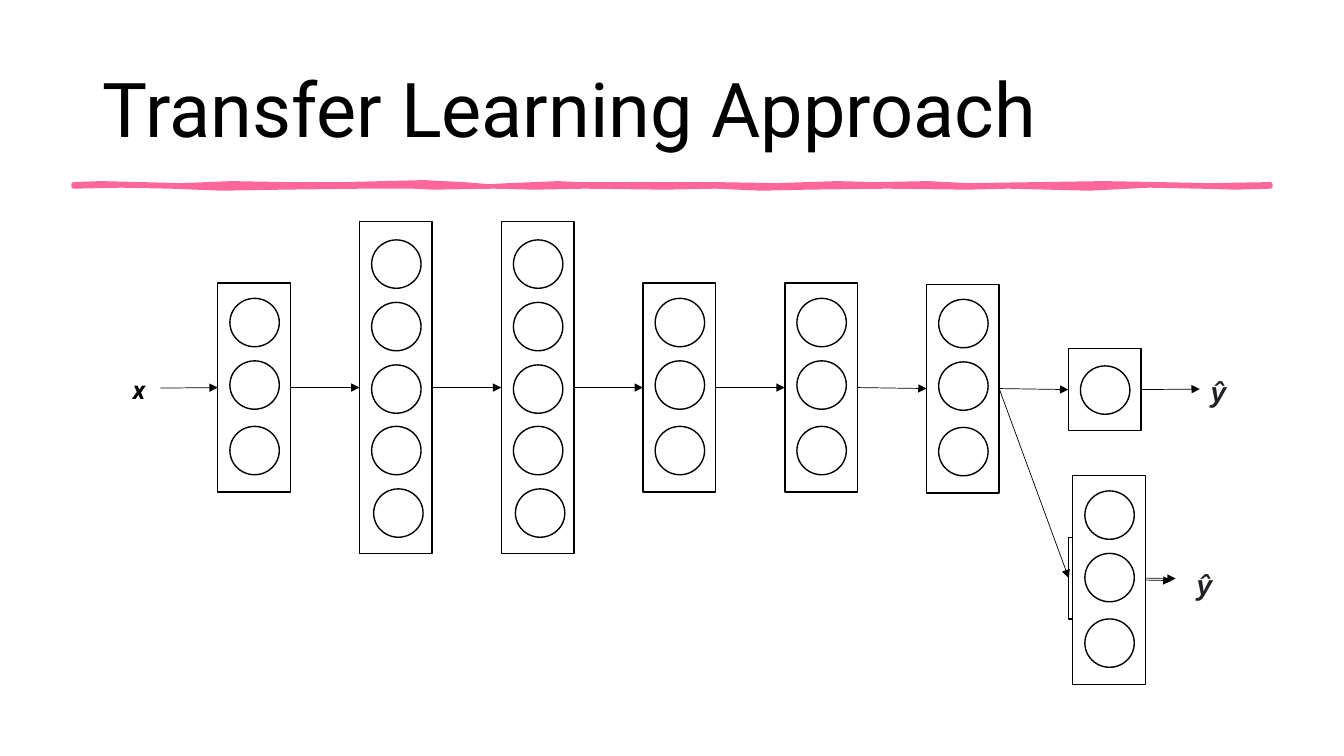
"""Build a slide showing a transfer learning network with two output heads."""
from dataclasses import dataclass

import lxml.etree
import pptx
import pptx.dml.color
import pptx.enum.shapes
import pptx.enum.text
import pptx.oxml
import pptx.oxml.ns
import pptx.util

Inches = pptx.util.Inches
Pt = pptx.util.Pt
SHAPES = pptx.enum.shapes.MSO_SHAPE
LEFT_SIDE, RIGHT_SIDE = 1, 3


@dataclass(frozen=True)
class Theme:
    """Colours, fonts and sizes of the slide."""
    ink: str = "000000"
    output_ink: str = "202124"
    paper: str = "FFFFFF"
    accent: str = "FF6699"
    font: str = "Roboto"
    output_font: str = "Arial"
    title_size: int = 54
    input_size: int = 18
    output_size: int = 20
    outline: float = 1
    arrow: float = 0.5
    brush: float = 3.25


THEME = Theme()
TITLE = "Transfer Learning Approach"

LAYER_WIDTH, FIRST_LEFT, LAYER_PITCH = 0.72, 2.16, 1.406
NEURON_INSET, NEURON_WIDTH, NEURON_HEIGHT = 0.12, 0.49, 0.48

# name: (height, [(horizontal shift, top inside the layer)])
LAYER_KINDS = {
    "one": (0.81, [(0, 0.17)]),
    "three": (2.07, [(0, 0.15), (0, 0.77), (0, 1.42)]),
    "five": (3.29, [(0, 0.8), (0, 1.42), (0, 2.03), (0, 0.18), (0.02, 2.65)]),
    "plain": (0.81, []),
}
NETWORK = [("three", 2.81), ("five", 2.2), ("five", 2.2), ("three", 2.81),
           ("three", 2.81), ("three", 2.82), ("one", 3.46)]
OLD_HEAD = ("plain", 10.6, 5.33)
NEW_HEAD = ("three", 10.64, 4.72)

INPUT_POINT = (1.59, 3.85)
OUTPUT_POINT = (11.9, 3.86)
OLD_HEAD_POINT = (11.66, 5.74)
NEW_HEAD_POINT = (11.62, 5.76)

LABELS = [
    ("x", 1.22, 3.66, 0.38, THEME.font, THEME.input_size, THEME.ink),
    ("ŷ", 11.91, 3.67, 0.41, THEME.output_font, THEME.output_size, THEME.output_ink),
    ("ŷ", 11.77, 5.58, 0.41, THEME.output_font, THEME.output_size, THEME.output_ink),
]

BRUSH_TOP = [
    (0.73, 1.83), (1.0, 1.82), (1.4, 1.83), (1.8, 1.84), (2.3, 1.82),
    (2.84, 1.83), (3.4, 1.83), (3.8, 1.82), (4.2, 1.81), (4.6, 1.83),
    (4.85, 1.85), (5.05, 1.84), (5.3, 1.83), (5.53, 1.82), (5.75, 1.83),
    (6.4, 1.83), (7.1, 1.83), (7.7, 1.84), (8.3, 1.82), (8.7, 1.83),
    (9.2, 1.82), (9.6, 1.84), (10.3, 1.83), (10.95, 1.82), (11.5, 1.83),
    (12.0, 1.84), (12.6, 1.83),
]
BRUSH_BOTTOM = [
    (12.6, 1.85), (12.25, 1.86), (11.9, 1.85), (11.4, 1.84), (10.8, 1.87),
    (10.4, 1.86), (10.0, 1.85), (9.6, 1.86), (8.8, 1.85), (8.0, 1.86),
    (7.55, 1.87), (7.1, 1.85), (6.6, 1.86), (5.8, 1.85), (5.3, 1.86),
    (4.9, 1.85), (4.3, 1.86), (4.1, 1.85), (3.6, 1.85), (2.8, 1.86),
    (2.2, 1.87), (1.7, 1.85), (1.2, 1.84), (0.73, 1.85),
]


def colour(value):
    """Return an RGB colour."""
    return pptx.dml.color.RGBColor.from_string(value)


def paint(shape, fill, line, width):
    """Give a shape its fill and outline, without a shadow."""
    shape.shadow.inherit = False
    shape.fill.solid()
    shape.fill.fore_color.rgb = colour(fill)
    shape.line.color.rgb = colour(line)
    shape.line.width = Pt(width)


def set_title(slide):
    """Fill and place the title placeholder."""
    title = slide.shapes.title
    title.left, title.top = Inches(0.92), Inches(0.4)
    title.width, title.height = Inches(11.5), Inches(1.45)
    frame = title.text_frame
    frame.text = TITLE
    frame.auto_size = pptx.enum.text.MSO_AUTO_SIZE.NONE
    frame.vertical_anchor = pptx.enum.text.MSO_ANCHOR.MIDDLE
    paragraph = frame.paragraphs[0]
    paragraph.alignment = pptx.enum.text.PP_ALIGN.LEFT
    paragraph.line_spacing = 0.9
    paragraph.font.name = THEME.font
    paragraph.font.size = Pt(THEME.title_size)
    paragraph.font.color.rgb = colour(THEME.ink)


def add_brush_line(slide):
    """Draw the uneven stroke under the title."""
    points = [(Inches(x), Inches(y)) for x, y in BRUSH_TOP + BRUSH_BOTTOM]
    builder = slide.shapes.build_freeform(*points[0])
    builder.add_line_segments(points[1:], close=True)
    paint(builder.convert_to_shape(), THEME.accent, THEME.accent, THEME.brush)


def add_layer(slide, kind, left, top):
    """Draw one layer with its neurons and return its rectangle."""
    height, neurons = LAYER_KINDS[kind]
    group = slide.shapes.add_group_shape()
    boxes = [(SHAPES.RECTANGLE, left, top, LAYER_WIDTH, height)]
    boxes += [(SHAPES.OVAL, left + NEURON_INSET + shift, top + offset,
               NEURON_WIDTH, NEURON_HEIGHT) for shift, offset in neurons]
    shapes = []
    for preset, *box in boxes:
        shape = group.shapes.add_shape(preset, *map(Inches, box))
        paint(shape, THEME.paper, THEME.ink, THEME.outline)
        shapes.append(shape)
    return shapes[0]


def add_arrow(slide, start, end):
    """Draw an arrow between two ends, each a layer or a point."""
    points = [(0, 0) if hasattr(stop, "shape_id") else stop for stop in (start, end)]
    arrow = slide.shapes.add_connector(
        pptx.enum.shapes.MSO_CONNECTOR.STRAIGHT,
        *[Inches(value) for point in points for value in point])
    if hasattr(start, "shape_id"):
        arrow.begin_connect(start, RIGHT_SIDE)
    if hasattr(end, "shape_id"):
        arrow.end_connect(end, LEFT_SIDE)
    arrow.line.color.rgb = colour(THEME.ink)
    arrow.line.width = Pt(THEME.arrow)
    qn = pptx.oxml.ns.qn
    lxml.etree.SubElement(arrow.line._get_or_add_ln(), qn("a:tailEnd"), type="triangle")
    lxml.etree.SubElement(arrow._element.spPr, qn("a:effectLst"))


def add_label(slide, text, left, top, height, font, size, ink):
    """Write an input or output symbol."""
    label = slide.shapes.add_textbox(*map(Inches, (left, top, 0.51, height)))
    frame = label.text_frame
    frame.word_wrap = True
    frame.auto_size = pptx.enum.text.MSO_AUTO_SIZE.SHAPE_TO_FIT_TEXT
    frame.text = text
    paragraph = frame.paragraphs[0]
    paragraph.font.name = font
    paragraph.font.size = Pt(size)
    paragraph.font.bold = paragraph.font.italic = True
    paragraph.font.color.rgb = colour(ink)


def main():
    """Build and save the presentation."""
    presentation = pptx.Presentation()
    presentation.slide_width, presentation.slide_height = Inches(13.33), Inches(7.5)
    slide = presentation.slides.add_slide(presentation.slide_layouts[5])
    set_title(slide)
    add_brush_line(slide)
    layers = [add_layer(slide, kind, FIRST_LEFT + index * LAYER_PITCH, top)
              for index, (kind, top) in enumerate(NETWORK)]
    stops = [INPUT_POINT, *layers, OUTPUT_POINT]
    for start, end in zip(stops, stops[1:]):
        add_arrow(slide, start, end)
    old_head = add_layer(slide, *OLD_HEAD)
    add_arrow(slide, old_head, OLD_HEAD_POINT)
    add_arrow(slide, layers[-2], old_head)
    for label in LABELS:
        add_label(slide, *label)
    new_head = add_layer(slide, *NEW_HEAD)
    add_arrow(slide, new_head, NEW_HEAD_POINT)
    presentation.save("out.pptx")


if __name__ == "__main__":
    main()
